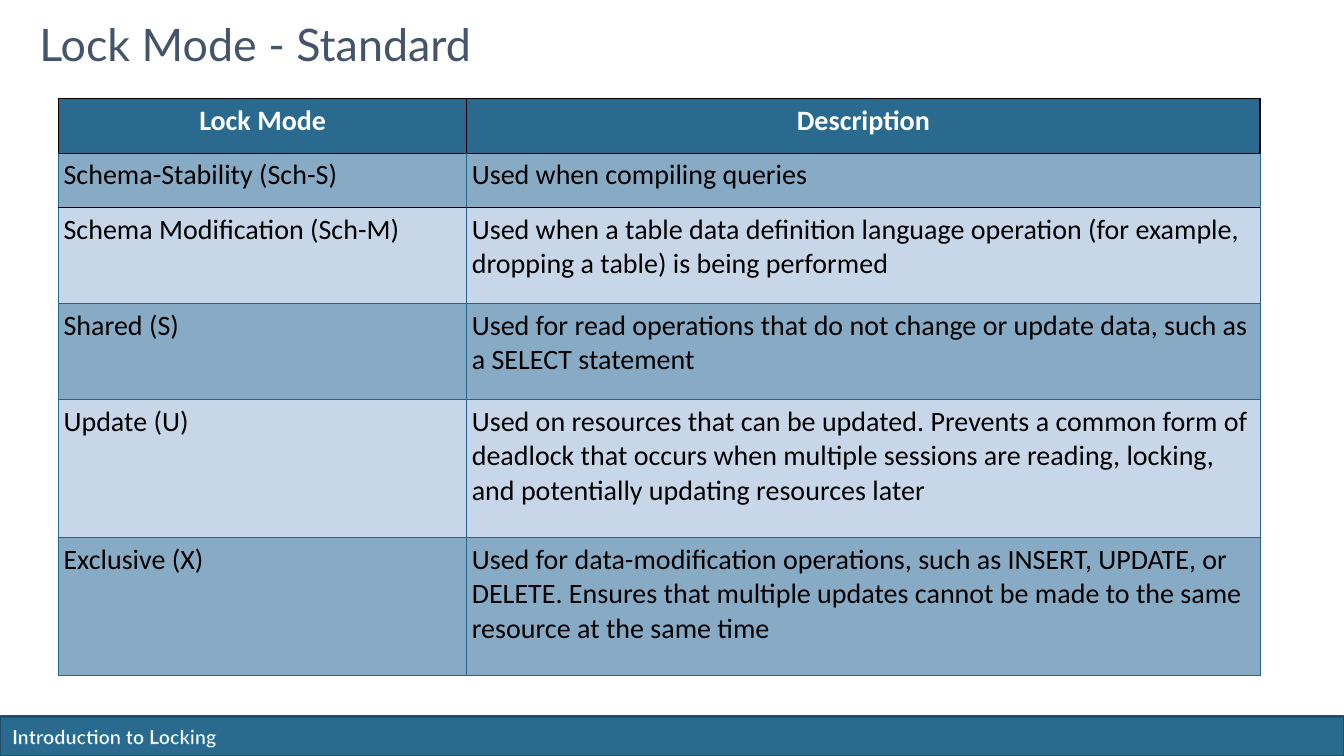
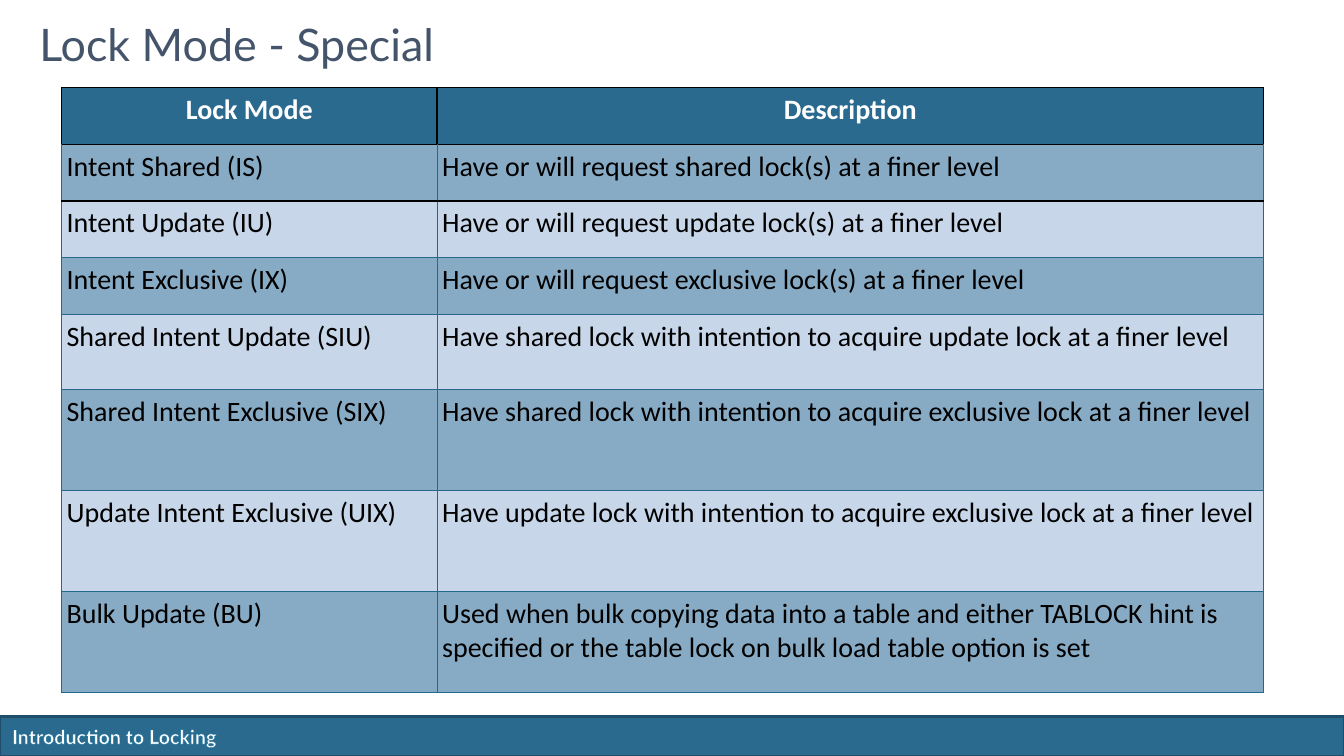
from dataclasses import dataclass

from lxml.etree import SubElement
from pptx import Presentation
from pptx.dml.color import RGBColor
from pptx.enum.shapes import MSO_SHAPE
from pptx.enum.text import PP_ALIGN
from pptx.oxml.ns import qn
from pptx.util import Pt


@dataclass(frozen=True)
class Theme:
    width: float = 960
    height: float = 540
    heading_font: str = "Lato"
    body_font: str = "Calibri"
    title_size: float = 32
    title_leading: float = 35
    cell_size: float = 20
    footer_size: float = 14
    title: str = "44546A"
    band: str = "296A8E"
    band_line: str = "1E4E69"
    footer_outline: str = "1872A0"
    odd_row: str = "88ABC5"
    even_row: str = "C7D7E9"
    grid: str = "26688D"
    black: str = "000000"
    white: str = "FFFFFF"


def line_xml(parent, tag, color, width):
    """Add a solid line element (cell border or text outline) to parent."""
    ln = SubElement(parent, qn(tag), w=str(Pt(width)))
    fill = SubElement(ln, qn("a:solidFill"))
    SubElement(fill, qn("a:srgbClr"), val=color)
    return ln


class Deck:
    FOOTER = "Introduction to Locking"
    HEADERS = ("Lock Mode", "Description")

    def __init__(self, theme):
        self.theme = theme
        self.prs = Presentation()
        self.prs.slide_width = Pt(theme.width)
        self.prs.slide_height = Pt(theme.height)
        self.s = None

    def slide(self, title):
        self.s = self.prs.slides.add_slide(self.prs.slide_layouts[6])
        self.footer()
        self.title(title)

    def run(self, p, text, font, size, color, bold=False):
        r = p.add_run()
        r.text = text
        r.font.name = font
        r.font.size = Pt(size)
        r.font.bold = bold
        r.font.color.rgb = RGBColor.from_string(color)
        return r

    def text_box(self, x, y, w, h):
        """Add a wrapping text box and return its first paragraph."""
        tf = self.s.shapes.add_textbox(Pt(x), Pt(y), Pt(w), Pt(h)).text_frame
        tf.word_wrap = True
        return tf.paragraphs[0]

    def title(self, text):
        t = self.theme
        p = self.text_box(21, 11.5, 918, 70.5)
        p.line_spacing = Pt(t.title_leading)
        self.run(p, text, t.heading_font, t.title_size, t.title)

    def footer(self):
        t = self.theme
        top = 512
        sp = self.s.shapes.add_shape(MSO_SHAPE.RECTANGLE, Pt(0), Pt(top),
                                     Pt(t.width), Pt(t.height - top))
        sp.shadow.inherit = False
        sp.fill.solid()
        sp.fill.fore_color.rgb = RGBColor.from_string(t.band)
        sp.line.color.rgb = RGBColor.from_string(t.band_line)
        sp.line.width = Pt(2)
        p = self.text_box(1.5, 514, 436, 24)
        r = self.run(p, self.FOOTER, t.heading_font, t.footer_size, t.white, bold=True)
        rPr = r.font._element
        rPr.insert(0, line_xml(rPr, "a:ln", t.footer_outline, 0.8))

    def table(self, x, y, widths, heights, rows):
        table = self.s.shapes.add_table(len(heights), len(widths), Pt(x), Pt(y),
                                        Pt(sum(widths)), Pt(sum(heights))).table
        table.first_row = table.horz_banding = False
        for column, width in zip(table.columns, widths):
            column.width = Pt(width)
        for i, (height, texts) in enumerate(zip(heights, (self.HEADERS, *rows))):
            table.rows[i].height = Pt(height)
            for j, text in enumerate(texts):
                self.cell(table.cell(i, j), i, text)

    def cell(self, cell, row, text):
        t = self.theme
        header = row == 0
        cell.margin_left = cell.margin_right = Pt(3.6)
        cell.margin_top = cell.margin_bottom = Pt(3.6)
        cell.fill.solid()
        fill = t.band if header else t.odd_row if row % 2 else t.even_row
        cell.fill.fore_color.rgb = RGBColor.from_string(fill)
        p = cell.text_frame.paragraphs[0]
        p.alignment = PP_ALIGN.CENTER if header else PP_ALIGN.LEFT
        self.run(p, text, t.body_font, t.cell_size,
                 t.white if header else t.black, bold=header)
        # Black frames the header and the first body row; the rest is blue.
        black_until = {"a:lnL": 0, "a:lnR": 0, "a:lnT": 2, "a:lnB": 1}
        tcPr = cell._tc.get_or_add_tcPr()
        for i, (tag, last) in enumerate(black_until.items()):
            style = (t.black, 1) if row <= last else (t.grid, 0.75)
            tcPr.insert(i, line_xml(tcPr, tag, *style))


STANDARD = [
    ("Schema-Stability (Sch-S)", "Used when compiling queries"),
    ("Schema Modification (Sch-M)",
     "Used when a table data definition language operation (for example, "
     "dropping a table) is being performed"),
    ("Shared (S)",
     "Used for read operations that do not change or update data, such as "
     "a SELECT statement"),
    ("Update (U)",
     "Used on resources that can be updated. Prevents a common form of "
     "deadlock that occurs when multiple sessions are reading, locking, "
     "and potentially updating resources later"),
    ("Exclusive (X)",
     "Used for data-modification operations, such as INSERT, UPDATE, or "
     "DELETE. Ensures that multiple updates cannot be made to the same "
     "resource at the same time"),
]

SPECIAL = [
    ("Intent Shared (IS)", "Have or will request shared lock(s) at a finer level"),
    ("Intent Update (IU)", "Have or will request update lock(s) at a finer level"),
    ("Intent Exclusive (IX)", "Have or will request exclusive lock(s) at a finer level"),
    ("Shared Intent Update (SIU)",
     "Have shared lock with intention to acquire update lock at a finer level"),
    ("Shared Intent Exclusive (SIX)",
     "Have shared lock with intention to acquire exclusive lock at a finer level"),
    ("Update Intent Exclusive (UIX)",
     "Have update lock with intention to acquire exclusive lock at a finer level"),
    ("Bulk Update (BU)",
     "Used when bulk copying data into a table and either TABLOCK hint is "
     "specified or the table lock on bulk load table option is set"),
]


def main():
    deck = Deck(Theme())
    deck.slide("Lock Mode - Standard")
    deck.table(41.8, 70.4, (291.6, 566.6),
               [39] * 2 + [68.6] * 2 + [98.6] * 2, STANDARD)
    deck.slide("Lock Mode - Special")
    deck.table(44, 62.6, (268.2, 590.4),
               [40.5] * 4 + [54] + [72] * 3, SPECIAL)
    deck.prs.save("out.pptx")


if __name__ == "__main__":
    main()
